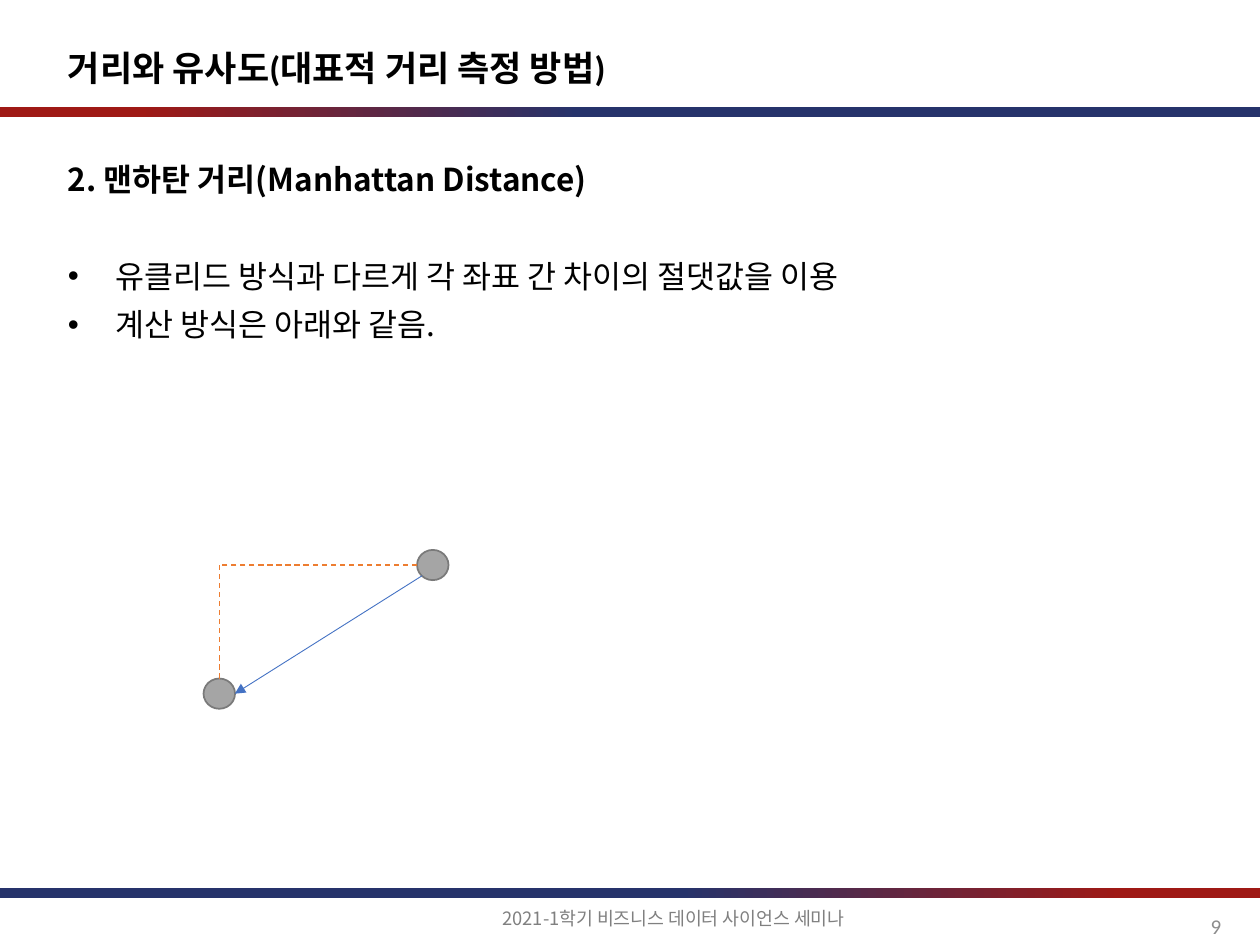
from lxml import etree
from pptx import Presentation, util as u
from pptx.dml.color import RGBColor
from pptx.enum import dml, shapes, text
from pptx.oxml.ns import qn

Pt = u.Pt
BLACK = RGBColor(0x00, 0x00, 0x00)
NAVY = RGBColor(0x26, 0x33, 0x6B)
RED = RGBColor(0x9F, 0x19, 0x15)
GRAY = RGBColor(0xA5, 0xA5, 0xA5)
DARK_GRAY = RGBColor(0x7A, 0x7A, 0x7A)
FOOTER_GRAY = RGBColor(0x80, 0x80, 0x80)
NUMBER_GRAY = RGBColor(0x8C, 0x8C, 0x8C)
BLUE = RGBColor(0x44, 0x72, 0xC4)
ORANGE = RGBColor(0xED, 0x7D, 0x31)
LATIN = "Calibri"
KOREAN = "Noto Sans CJK KR"


class Deck:
    def __init__(self, prs):
        self.s = prs.slides.add_slide(prs.slide_layouts[6])

    def box(self, x, y, w, h, wrap=True, anchor=text.MSO_ANCHOR.TOP):
        tf = self.s.shapes.add_textbox(Pt(x), Pt(y), Pt(w), Pt(h)).text_frame
        tf.word_wrap = wrap
        tf.vertical_anchor = anchor
        return tf

    def para(self, tf, content, size, font, color, bold=False, after=0,
             align=text.PP_ALIGN.JUSTIFY, bullet=False):
        p = tf.add_paragraph() if tf.paragraphs[0].runs else tf.paragraphs[0]
        p.alignment = align
        p.space_after = Pt(after)
        if bullet:
            ppr = p._p.get_or_add_pPr()
            ppr.set("marL", str(Pt(27)))
            ppr.set("indent", str(-Pt(27)))
            etree.SubElement(ppr, qn("a:buFont")).set("typeface", "Arial")
            etree.SubElement(ppr, qn("a:buChar")).set("char", "•")
        r = p.add_run()
        r.text = content
        r.font.size, r.font.name, r.font.bold = Pt(size), font, bold
        r.font.color.rgb = color
        etree.SubElement(r._r.get_or_add_rPr(), qn("a:ea")).set("typeface", KOREAN)

    def band(self, y, rotation=0):
        sp = self.s.shapes.add_shape(shapes.MSO_SHAPE.RECTANGLE, 0, Pt(y), Pt(720), Pt(5.76))
        sp.shadow.inherit = False
        sp.rotation = rotation
        sp.line.fill.background()
        sp.fill.gradient()
        sp.fill.gradient_angle = 0
        for stop, color, position in zip(sp.fill.gradient_stops, (NAVY, RED), (0.54, 0.89)):
            stop.color.rgb = color
            stop.position = position

    def dot(self, cx, cy, w=18, h=17.3):
        sp = self.s.shapes.add_shape(shapes.MSO_SHAPE.OVAL, Pt(cx - w / 2), Pt(cy - h / 2), Pt(w), Pt(h))
        sp.shadow.inherit = False
        sp.fill.solid()
        sp.fill.fore_color.rgb = GRAY
        sp.line.color.rgb = DARK_GRAY
        sp.line.width = Pt(1)

    def line(self, x1, y1, x2, y2, color, width, dashed=False, arrow=False):
        c = self.s.shapes.add_connector(shapes.MSO_CONNECTOR.STRAIGHT, Pt(x1), Pt(y1), Pt(x2), Pt(y2))
        c.line.color.rgb = color
        c.line.width = Pt(width)
        if dashed:
            c.line.dash_style = dml.MSO_LINE.DASH
        sppr = c._element.spPr
        if arrow:
            etree.SubElement(sppr.find(qn("a:ln")), qn("a:tailEnd")).set("type", "triangle")
        etree.SubElement(sppr, qn("a:effectLst"))


def main():
    prs = Presentation()
    prs.slide_width, prs.slide_height = Pt(720), Pt(540)
    d = Deck(prs)

    tf = d.box(542.9, 514.8, 162, 28.8, anchor=text.MSO_ANCHOR.MIDDLE)
    d.para(tf, "9", 12, LATIN, NUMBER_GRAY, align=text.PP_ALIGN.RIGHT)
    d.band(507.6)
    d.band(61.2, rotation=180)

    tf = d.box(31.7, 23, 618.5, 31.7)
    d.para(tf, "거리와 유사도(대표적 거리 측정 방법)", 20, LATIN, BLACK, bold=True)

    tf = d.box(31.7, 87.8, 647.3, 140.4)
    d.para(tf, "2. 맨하탄 거리(Manhattan Distance)", 18, KOREAN, BLACK, bold=True, after=34)
    for item in ("유클리드 방식과 다르게 각 좌표 간 차이의 절댓값을 이용", "계산 방식은 아래와 같음."):
        d.para(tf, item, 18, KOREAN, BLACK, after=6, bullet=True)

    tf = d.box(280.1, 514.8, 237.6, 20.2, wrap=False)
    d.para(tf, "2021-1학기 비즈니스 데이터 사이언스 세미나", 10.5, KOREAN, FOOTER_GRAY,
           align=text.PP_ALIGN.LEFT)

    left, right, top, bottom = 125.3, 247.3, 322.9, 396.4
    d.dot(left, bottom)
    d.dot(right, top)
    d.line(241.2, 329, 134.2, bottom, BLUE, 0.5, arrow=True)
    d.line(right - 9, top, left, top, ORANGE, 0.75, dashed=True)
    d.line(left, top, left, bottom - 8.65, ORANGE, 0.75, dashed=True)

    prs.save("out.pptx")


if __name__ == "__main__":
    main()
